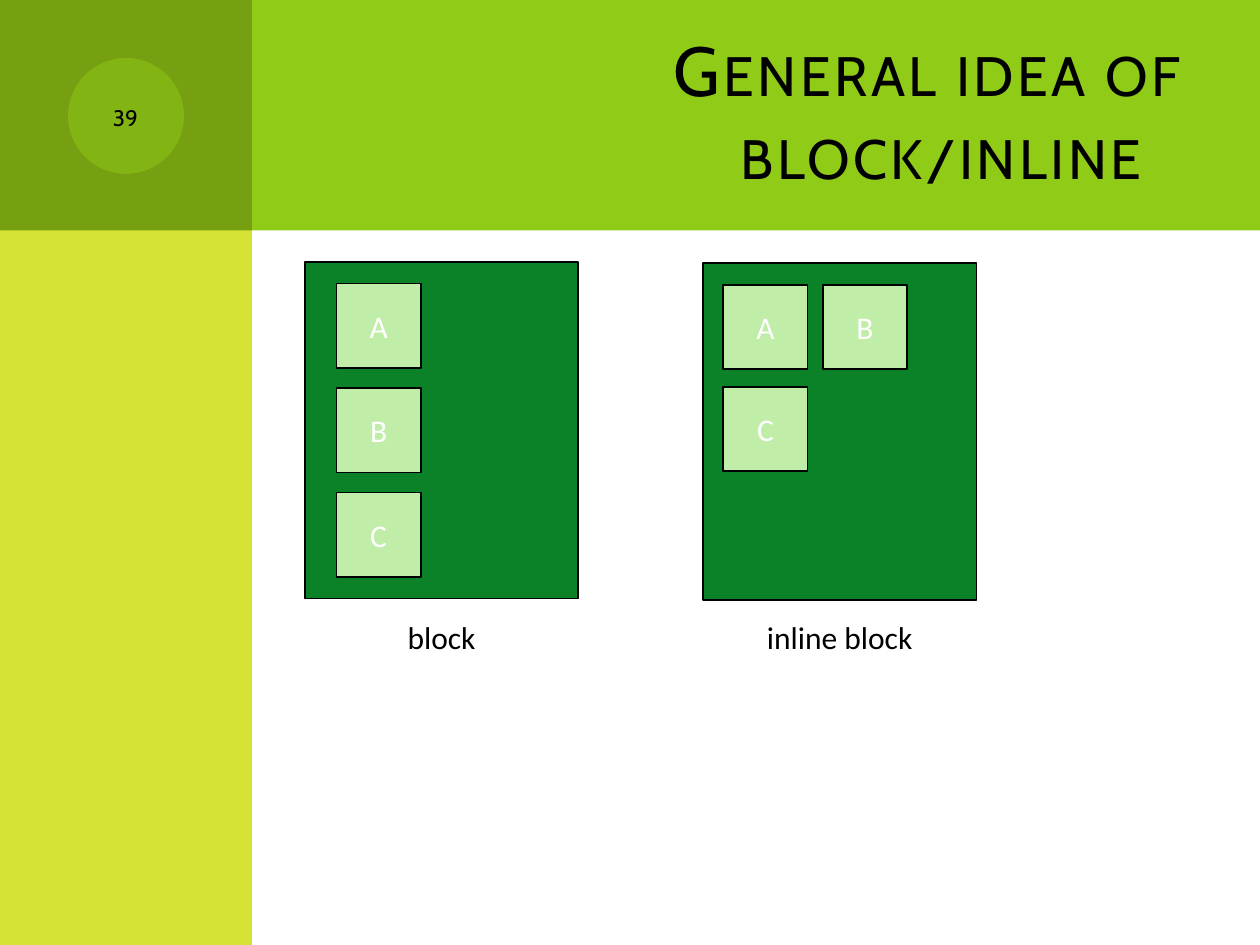
import pptx
import pptx.dml.color
import pptx.enum.shapes
import pptx.enum.text
import pptx.oxml
import pptx.oxml.ns
import pptx.util
from pptx.util import Inches

COLORS = {
    "band": "8FCB17", "side": "D4E336", "corner": "769F11",
    "panel": "0C8228", "tile": "C0EDA8", "black": "000000", "white": "FFFFFF",
}
SHAPE = pptx.enum.shapes.MSO_SHAPE
ALIGN = pptx.enum.text.PP_ALIGN
ANCHOR = pptx.enum.text.MSO_ANCHOR


def rgb(name):
    """Return the named palette colour."""
    return pptx.dml.color.RGBColor.from_string(COLORS[name])


def write(tf, text, size=18, font="Calibri", color="black", align=ALIGN.CENTER,
          anchor=ANCHOR.MIDDLE, small_caps=False, spacing=0):
    """Put one formatted run of text in a text frame."""
    tf.word_wrap = True
    tf.auto_size = pptx.enum.text.MSO_AUTO_SIZE.NONE
    tf.vertical_anchor = anchor
    p = tf.paragraphs[0]
    p.alignment = align
    r = p.add_run()
    r.text = text
    r.font.size = pptx.util.Pt(size)
    r.font.name = font
    r.font.bold = False
    r.font.color.rgb = rgb(color)
    rpr = r.font._element if hasattr(r.font, "_element") else r._r.get_or_add_rPr()
    if small_caps:
        rpr.set("cap", "small")
    if spacing:
        rpr.set("spc", str(spacing * 100))


class Deck:
    """Holds the presentation, the current slide and its style."""

    def __init__(self, width, height):
        """Start a presentation with one title-only slide."""
        self.prs = pptx.Presentation()
        self.prs.slide_width, self.prs.slide_height = Inches(width), Inches(height)
        self.s = self.prs.slides.add_slide(self.prs.slide_layouts[5])

    def shape(self, x, y, w, h, fill, kind=SHAPE.RECTANGLE, line=None,
              alpha=None, parent=None):
        """Add a filled preset shape to the slide or to a group."""
        shapes = (parent or self.s).shapes
        sp = shapes.add_shape(kind, Inches(x), Inches(y), Inches(w), Inches(h))
        sp.shadow.inherit = False
        sp.fill.solid()
        sp.fill.fore_color.rgb = rgb(fill)
        if alpha is not None:
            clr = sp.element.spPr.find(".//" + pptx.oxml.ns.qn("a:srgbClr"))
            clr.append(pptx.oxml.parse_xml(
                f'<a:alpha {pptx.oxml.ns.nsdecls("a")} val="{alpha * 1000}"/>'))
        if line:
            sp.line.color.rgb = rgb(line)
            sp.line.width = pptx.util.Pt(1)
        else:
            sp.line.fill.background()
        return sp

    def text(self, x, y, w, h, text, parent=None, **style):
        """Add a text box to the slide or to a group."""
        shapes = (parent or self.s).shapes
        sp = shapes.add_textbox(Inches(x), Inches(y), Inches(w), Inches(h))
        write(sp.text_frame, text, **style)
        return sp

    def title(self, x, y, w, h, text, **style):
        """Place the title in front of the shapes drawn so far."""
        sp = self.s.shapes.title
        sp.left, sp.top, sp.width, sp.height = map(Inches, (x, y, w, h))
        write(sp.text_frame, text, **style)
        self.s.shapes[-1].element.addnext(sp.element)

    def panel(self, x, y, caption, tiles):
        """Add a grouped panel with lettered tiles and a caption below."""
        group = self.s.shapes.add_group_shape()
        self.shape(x, y, 2.17, 2.67, "panel", line="black", parent=group)
        for letter, left, top in tiles:
            sp = self.shape(left, top, 0.67, 0.67, "tile", line="black", parent=group)
            write(sp.text_frame, letter, color="white")
        self.text(x, 4.86, 2.17, 0.4, caption, parent=group, anchor=ANCHOR.TOP)


def main():
    """Build and save the slide."""
    deck = Deck(10, 7.5)
    deck.shape(0.5, 0, 9.5, 1.83, "band")
    deck.shape(0, 0, 2, 7.5, "side")
    deck.shape(0, 0, 2, 1.83, "corner")
    deck.shape(0.54, 0.46, 0.92, 0.92, "band", kind=SHAPE.OVAL, alpha=50)
    deck.title(2.67, 0.25, 6.83, 1.25, "General idea of block/inline", size=39.6,
               font="Cabin", align=ALIGN.RIGHT, small_caps=True, spacing=2)
    deck.text(0.58, 0.58, 0.83, 0.67, "39", size=16, font="Cabin", small_caps=True)

    deck.panel(2.42, 2.08, "block",
               [(letter, 2.67, 2.25 + 0.83 * i) for i, letter in enumerate("ABC")])
    deck.panel(5.58, 2.09, "inline block",
               [(letter, 5.74 + 0.79 * (i % 2), 2.26 + 0.81 * (i // 2))
                for i, letter in enumerate("ABC")])
    deck.prs.save("out.pptx")


main()
